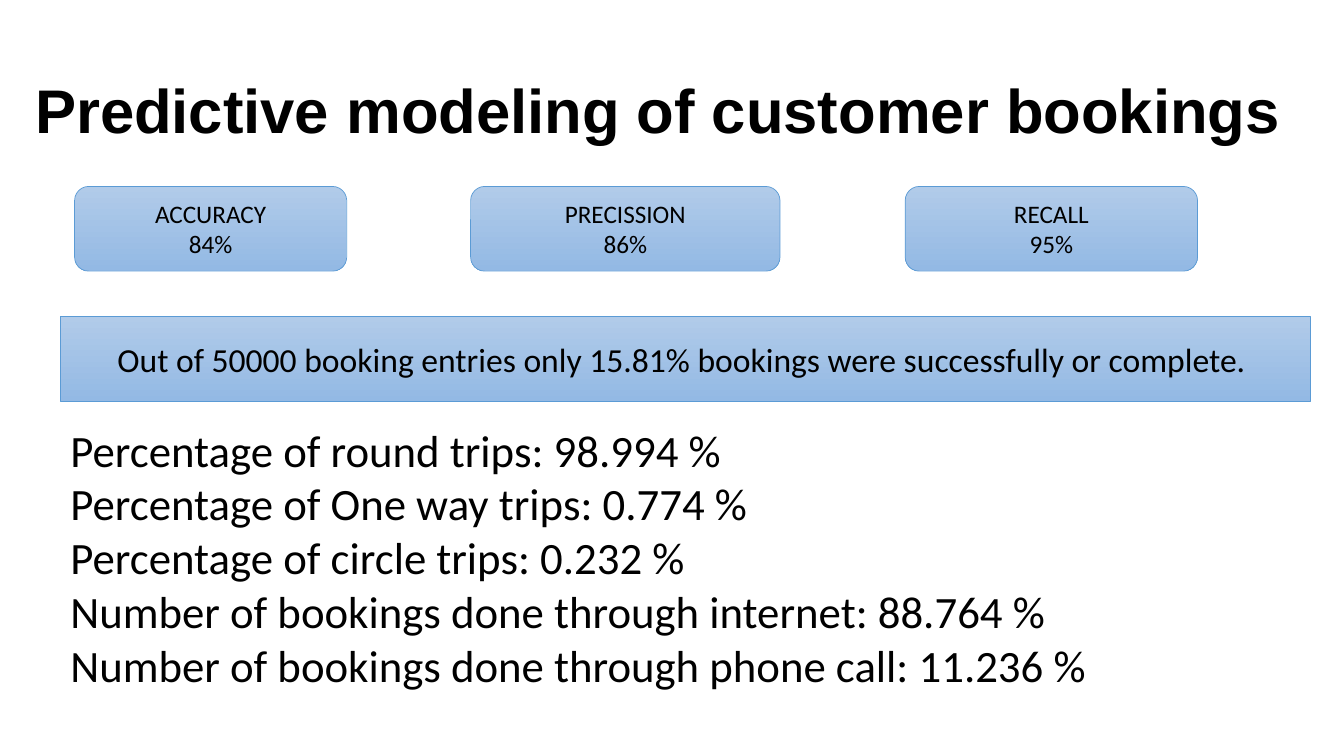
from pptx import Presentation
from pptx.dml.color import RGBColor
from pptx.enum.shapes import MSO_SHAPE
from pptx.enum.text import MSO_ANCHOR, PP_ALIGN
from pptx.util import Pt

BLACK = RGBColor(0x00, 0x00, 0x00)
LIGHT_BLUE = RGBColor(0xB1, 0xCB, 0xE9)
MID_BLUE = RGBColor(0x93, 0xB9, 0xE4)
OUTLINE_BLUE = RGBColor(0x5B, 0x9B, 0xD5)

PANEL_HEIGHT = 60.5
CONTENT_LEFT = 43.2
CONTENT_WIDTH = 892.8

# Left, width, name and value of each model score
SCORES = [
    (53.3, 194.4, "ACCURACY", "84%"),
    (336.2, 221, "PRECISSION", "86%"),
    (646.6, 208.8, "RECALL", "95%"),
]
BOOKING_FACTS = [
    "Percentage of round trips: 98.994 %",
    "Percentage of One way trips: 0.774 %",
    "Percentage of circle trips: 0.232 %",
    "Number of bookings done through internet: 88.764 %",
    "Number of bookings done through phone call: 11.236 %",
]


def write_lines(shape, lines, size, font_name="Calibri", bold=False,
                align=PP_ALIGN.LEFT, anchor=MSO_ANCHOR.TOP, spacing=None):
    frame = shape.text_frame
    frame.word_wrap = True
    frame.vertical_anchor = anchor
    frame.text = "\n".join(lines)
    for paragraph in frame.paragraphs:
        paragraph.alignment = align
        paragraph.line_spacing = spacing
        paragraph.font.name = font_name
        paragraph.font.size = Pt(size)
        paragraph.font.bold = bold
        paragraph.font.color.rgb = BLACK


def add_text(slide, left, top, width, height, lines, size, **style):
    box = slide.shapes.add_textbox(Pt(left), Pt(top), Pt(width), Pt(height))
    write_lines(box, lines, size, **style)


def add_panel(slide, kind, left, top, width, lines, size):
    panel = slide.shapes.add_shape(kind, Pt(left), Pt(top), Pt(width), Pt(PANEL_HEIGHT))
    panel.shadow.inherit = False
    panel.fill.gradient()
    panel.fill.gradient_angle = 270  # counter-clockwise, so top to bottom
    for stop, color, position in zip(panel.fill.gradient_stops,
                                     (LIGHT_BLUE, MID_BLUE), (0, 1)):
        stop.color.rgb = color
        stop.position = position
    panel.line.color.rgb = OUTLINE_BLUE
    panel.line.width = Pt(0.5)
    write_lines(panel, lines, size, align=PP_ALIGN.CENTER, anchor=MSO_ANCHOR.MIDDLE)


def main():
    presentation = Presentation()
    presentation.slide_width = Pt(960)
    presentation.slide_height = Pt(540)
    slide = presentation.slides.add_slide(presentation.slide_layouts[6])

    # Title
    add_text(slide, 18, 28.8, 919.4, 104.4, ["Predictive modeling of customer bookings"],
             44, font_name="Arial", bold=True, anchor=MSO_ANCHOR.MIDDLE, spacing=0.9)

    # Model scores
    for left, width, name, value in SCORES:
        add_panel(slide, MSO_SHAPE.ROUNDED_RECTANGLE, left, 133.2, width, [name, value], 18)

    # Key finding
    add_panel(slide, MSO_SHAPE.RECTANGLE, CONTENT_LEFT, 226.1, CONTENT_WIDTH,
              ["Out of 50000 booking entries only 15.81% bookings "
               "were successfully or complete. "], 24)

    # Booking facts
    add_text(slide, CONTENT_LEFT, 298.1, CONTENT_WIDTH, 200.9, BOOKING_FACTS, 32)

    presentation.save("out.pptx")


if __name__ == "__main__":
    main()
